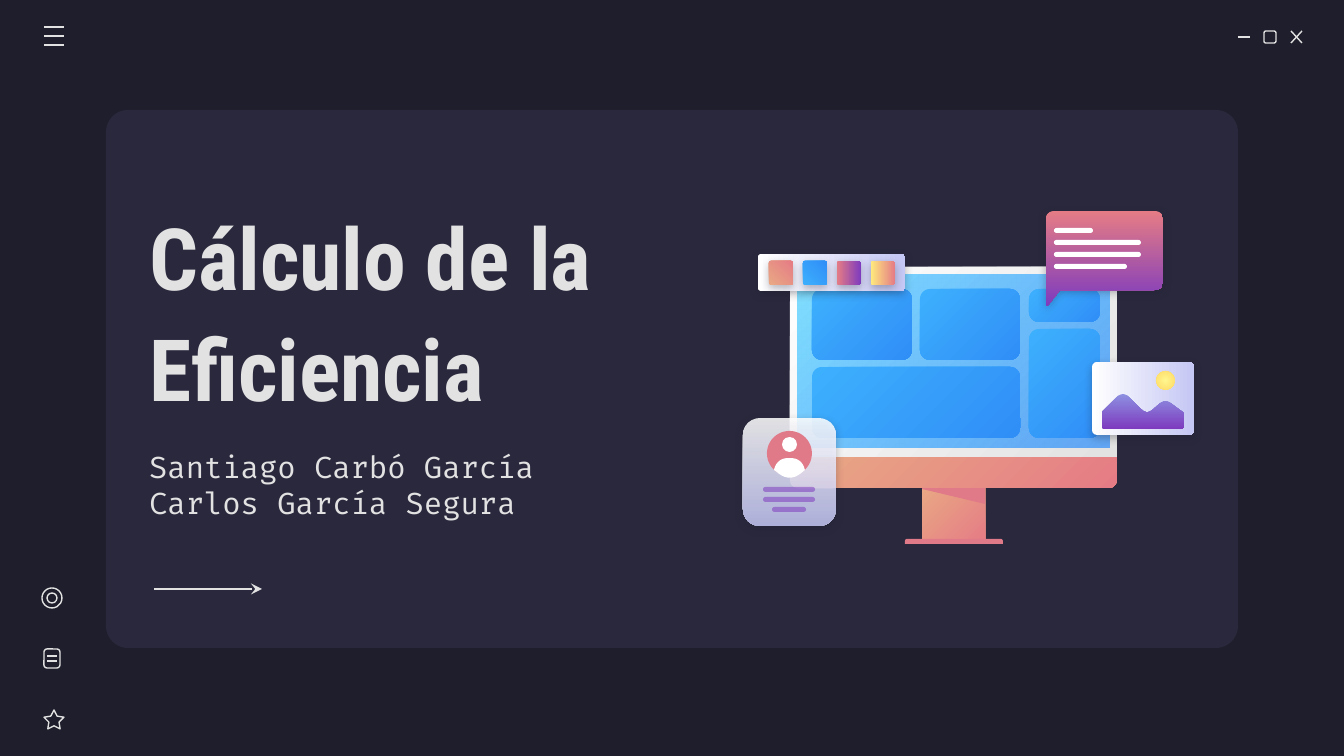
"""Build a dark title slide with window icons and a desktop illustration."""
from dataclasses import dataclass
from math import dist

from pptx import Presentation
from pptx.dml.color import RGBColor
from pptx.enum.shapes import MSO_CONNECTOR, MSO_SHAPE
from pptx.enum.text import MSO_ANCHOR
from pptx.oxml import parse_xml
from pptx.oxml.ns import nsdecls, qn
from pptx.util import Emu, Inches, Pt

NIGHT = RGBColor(0x1E, 0x1E, 0x2C)
PANEL = RGBColor(0x29, 0x28, 0x3D)
LIGHT = RGBColor(0xE2, 0xE2, 0xE2)
WHITE = RGBColor(0xFF, 0xFF, 0xFF)
ROSE = RGBColor(0xE0, 0x7A, 0x88)
CORAL = RGBColor(0xE5, 0x7C, 0x85)
PEACH = RGBColor(0xE9, 0xA9, 0x84)
PURPLE = RGBColor(0x7E, 0x3B, 0xBE)
VIOLET = RGBColor(0x8D, 0x90, 0xE1)
LILAC = RGBColor(0xC5, 0xC7, 0xF4)
CYAN = RGBColor(0x80, 0xDF, 0xFF)
AZURE = RGBColor(0x31, 0x8F, 0xFA)
SKY = RGBColor(0x3D, 0xB0, 0xFD)
BLUE = RGBColor(0x30, 0x8E, 0xF7)
YELLOW = RGBColor(0xFF, 0xEA, 0x7D)
LEMON = RGBColor(0xFF, 0xF6, 0x8E)
GOLD = RGBColor(0xFF, 0xD9, 0x66)


@dataclass
class Gradient:
    start: RGBColor
    end: RGBColor
    angle: int = 45
    radial: bool = False


WARM = Gradient(PEACH, CORAL)
TILE = Gradient(SKY, BLUE)
PAPER = Gradient(WHITE, LILAC, 0)


def px(length):
    return Emu(round(length * 914400 / 134.4))


def write(paragraph, text, *, font, size, bold=False, color=LIGHT):
    run = paragraph.add_run()
    run.text = text
    run.font.name, run.font.size, run.font.bold = font, Pt(size), bold
    run.font.color.rgb = color


class Canvas:
    def __init__(self, slide, stroke=LIGHT, weight=0.75):
        self.slide, self.stroke, self.weight = slide, stroke, weight

    def paint(self, shape, fill, opacity=(100, 100), shadow=False):
        shape.shadow.inherit = False
        properties = shape._element.spPr
        if fill is None:
            shape.fill.background()
        elif isinstance(fill, RGBColor):
            shape.fill.solid()
            shape.fill.fore_color.rgb = fill
        else:
            shape.fill.gradient()
            shape.fill.gradient_angle = (360 - fill.angle) % 360
            for stop, color in zip(shape.fill.gradient_stops, (fill.start, fill.end)):
                stop.color.rgb = color
            if fill.radial:
                linear = properties.find(".//" + qn("a:lin"))
                linear.getparent().replace(linear, parse_xml(
                    f'<a:path {nsdecls("a")} path="circle"><a:fillToRect l="50000" '
                    't="50000" r="50000" b="50000"/></a:path>'))
        for color, percent in zip(properties.iter(qn("a:srgbClr")), opacity):
            if percent < 100:
                color.append(parse_xml(f'<a:alpha {nsdecls("a")} val="{percent * 1000}"/>'))
        if fill is None:
            shape.line.color.rgb = self.stroke
            shape.line.width = Pt(self.weight)
        else:
            shape.line.fill.background()
        if shadow:
            properties.find(qn("a:effectLst")).append(parse_xml(
                f'<a:outerShdw {nsdecls("a")} blurRad="57150" dist="19050" dir="5400000">'
                f'<a:srgbClr val="{NIGHT}"><a:alpha val="30000"/></a:srgbClr></a:outerShdw>'))

    def preset(self, kind, box, fill=None, adjustments=(), **style):
        shape = self.slide.shapes.add_shape(kind, *map(px, box))
        for index, value in enumerate(adjustments):
            shape.adjustments[index] = value
        self.paint(shape, fill, **style)

    def rectangle(self, box, fill=None, radius=0, **style):
        ratio = min(0.5, radius / min(box[2:]))
        self.preset(MSO_SHAPE.ROUNDED_RECTANGLE, box, fill, [ratio], **style)

    def half_rounded(self, box, fill, top=0, bottom=0):
        ratios = [radius / min(box[2:]) for radius in (top, bottom)]
        self.preset(MSO_SHAPE.ROUND_2_SAME_RECTANGLE, box, fill, ratios)

    def ellipse(self, box, fill=None):
        self.preset(MSO_SHAPE.OVAL, box, fill)

    def outline(self, corners, fill, **style):
        points = []
        for index, (x, y, radius) in enumerate(corners):
            ends = []
            for other in (corners[index - 1], corners[(index + 1) % len(corners)]):
                share = radius / dist((x, y), other[:2])
                ends.append((x + (other[0] - x) * share, y + (other[1] - y) * share))
            for step in range(9 if radius else 1):
                t = step / 8
                points.append(tuple(
                    px((1 - t) ** 2 * a + 2 * t * (1 - t) * b + t * t * c)
                    for a, b, c in zip(ends[0], (x, y), ends[1])))
        builder = self.slide.shapes.build_freeform(*points[0])
        builder.add_line_segments(points[1:], close=True)
        self.paint(builder.convert_to_shape(), fill, **style)

    def line(self, *ends, arrow=False):
        connector = self.slide.shapes.add_connector(MSO_CONNECTOR.STRAIGHT, *map(px, ends))
        connector.line.color.rgb = self.stroke
        connector.line.width = Pt(self.weight)
        if arrow:
            connector.line._get_or_add_ln().append(
                parse_xml(f'<a:tailEnd {nsdecls("a")} type="stealth"/>'))
        connector._element.spPr.append(parse_xml(f'<a:effectLst {nsdecls("a")}/>'))

    def text(self, box, paragraphs):
        frame = self.slide.shapes.add_textbox(*map(px, box)).text_frame
        frame.word_wrap = True
        frame.vertical_anchor = MSO_ANCHOR.MIDDLE
        frame.margin_left = frame.margin_right = Inches(0.1)
        frame.margin_top = frame.margin_bottom = Inches(0.1)
        for index, runs in enumerate(paragraphs):
            paragraph = frame.add_paragraph() if index else frame.paragraphs[0]
            for text, style in runs:
                write(paragraph, text, **style)


def draw_window(canvas):
    canvas.rectangle((106, 110, 1132, 538), PANEL, 22)
    canvas.line(1238, 37, 1250, 37)
    canvas.rectangle((1264, 31, 12, 12), radius=2)
    canvas.line(1291, 31, 1302, 43)
    canvas.line(1302, 31, 1291, 43)
    for y in (27, 36, 45):
        canvas.line(44, y, 64, y)


def draw_text(canvas):
    names = dict(font="Fira Code", size=16)
    title = dict(font="Roboto Condensed", size=46, bold=True)
    canvas.text((136, 454, 436, 62), [[("Santiago Carbó García", names)],
                                      [("Carlos García Segura", names)]])
    canvas.text((136, 194, 601, 237), [[("Cálculo de la Eficiencia", title),
                                        (" ", title | dict(size=50))]])


def draw_monitor(canvas):
    canvas.rectangle((922, 485, 63, 58), WARM)
    canvas.half_rounded((905, 539, 98, 5), ROSE, top=2)
    canvas.outline([(922, 485, 0), (922, 489, 0), (985, 504, 0), (985, 485, 0)], ROSE)
    canvas.half_rounded((790, 456, 327, 32), WARM, bottom=8)
    canvas.half_rounded((790, 267, 327, 190), Gradient(WHITE, LIGHT), top=8)
    canvas.rectangle((798, 275, 311, 173), Gradient(CYAN, AZURE), opacity=(100, 72))
    for tile in ((812, 289, 100, 71), (812, 367, 208, 71), (920, 289, 100, 71),
                 (1029, 289, 71, 33), (1029, 329, 71, 109)):
        canvas.rectangle(tile, TILE, 10)


def draw_bubble(canvas):
    canvas.outline([(1046, 211, 9), (1163, 211, 9), (1163, 290, 9), (1060, 290, 0),
                    (1046, 308, 5)], Gradient(CORAL, PURPLE, 90), shadow=True)
    for row, width in enumerate((39, 87, 87, 73)):
        canvas.rectangle((1054, 228 + 12 * row, width, 5), WHITE, 3)


def draw_profile(canvas):
    canvas.rectangle((743, 418, 93, 108), Gradient(WHITE, LILAC, 90), 17,
                     opacity=(86, 86), shadow=True)
    canvas.ellipse((767, 431, 45, 45), ROSE)
    canvas.ellipse((782, 437, 15, 15), WHITE)
    canvas.outline([(774, 470, 0), (777, 458, 12), (802, 458, 12), (805, 470, 0),
                    (790, 482, 14)], WHITE)
    for row, width in enumerate((52, 52, 34)):
        canvas.rectangle((789 - width // 2, 487 + 10 * row, width, 5), PURPLE, 3, opacity=(54,))


def draw_landscape(canvas):
    canvas.rectangle((1092, 362, 102, 73), PAPER, 5, shadow=True)
    canvas.outline([(1102, 412, 2), (1123, 391, 9), (1147, 415, 8), (1165, 399, 8),
                    (1184, 413, 2), (1184, 429, 4), (1102, 429, 4)],
                   Gradient(VIOLET, PURPLE, 90))
    canvas.ellipse((1156, 371, 19, 19), Gradient(LEMON, GOLD, radial=True))


def draw_palette(canvas):
    canvas.rectangle((758, 254, 147, 37), PAPER, 3, shadow=True)
    swatches = (Gradient(PEACH, CORAL, 315), Gradient(SKY, BLUE, 315),
                Gradient(CORAL, PURPLE, 0), Gradient(YELLOW, CORAL, 0))
    for column, swatch in enumerate(swatches):
        canvas.rectangle((769 + 34 * column, 261, 24, 24), swatch, 2, shadow=True)


def draw_side_icons(canvas):
    canvas.preset(MSO_SHAPE.STAR_5_POINT, (44, 710, 20, 19), adjustments=[0.254])
    canvas.rectangle((44, 649, 16, 19), radius=3)
    for y in (656, 661):
        canvas.line(47, y, 57, y)
    canvas.ellipse((42, 588, 20, 20))
    canvas.ellipse((47, 593, 10, 10))
    canvas.line(154, 589, 262, 589, arrow=True)


def main():
    presentation = Presentation()
    presentation.slide_width, presentation.slide_height = px(1344), px(756)
    slide = presentation.slides.add_slide(presentation.slide_layouts[6])
    slide.background.fill.solid()
    slide.background.fill.fore_color.rgb = NIGHT
    canvas = Canvas(slide)
    for draw in (draw_window, draw_text, draw_monitor, draw_bubble, draw_profile,
                 draw_landscape, draw_palette, draw_side_icons):
        draw(canvas)
    presentation.save("out.pptx")


if __name__ == "__main__":
    main()
